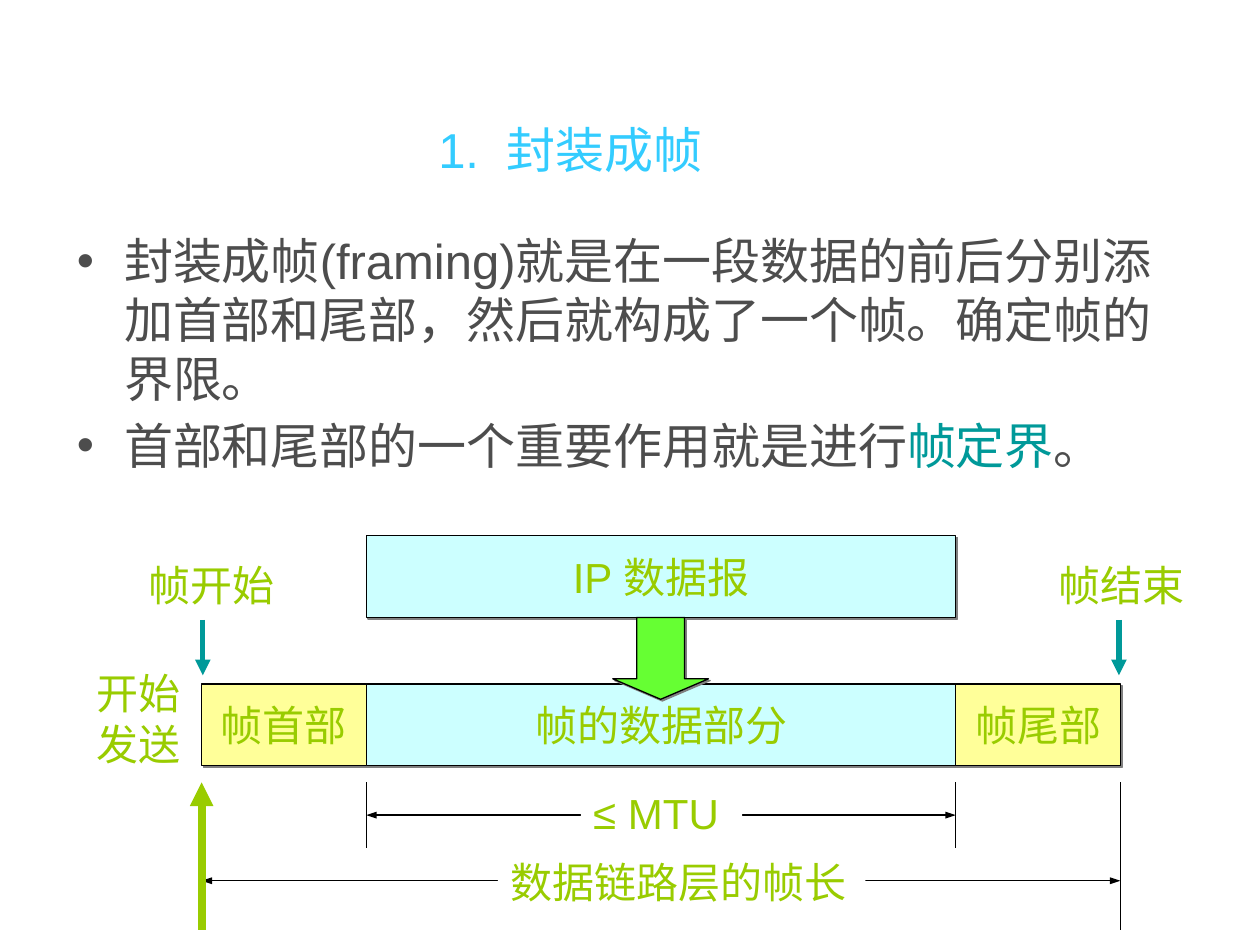
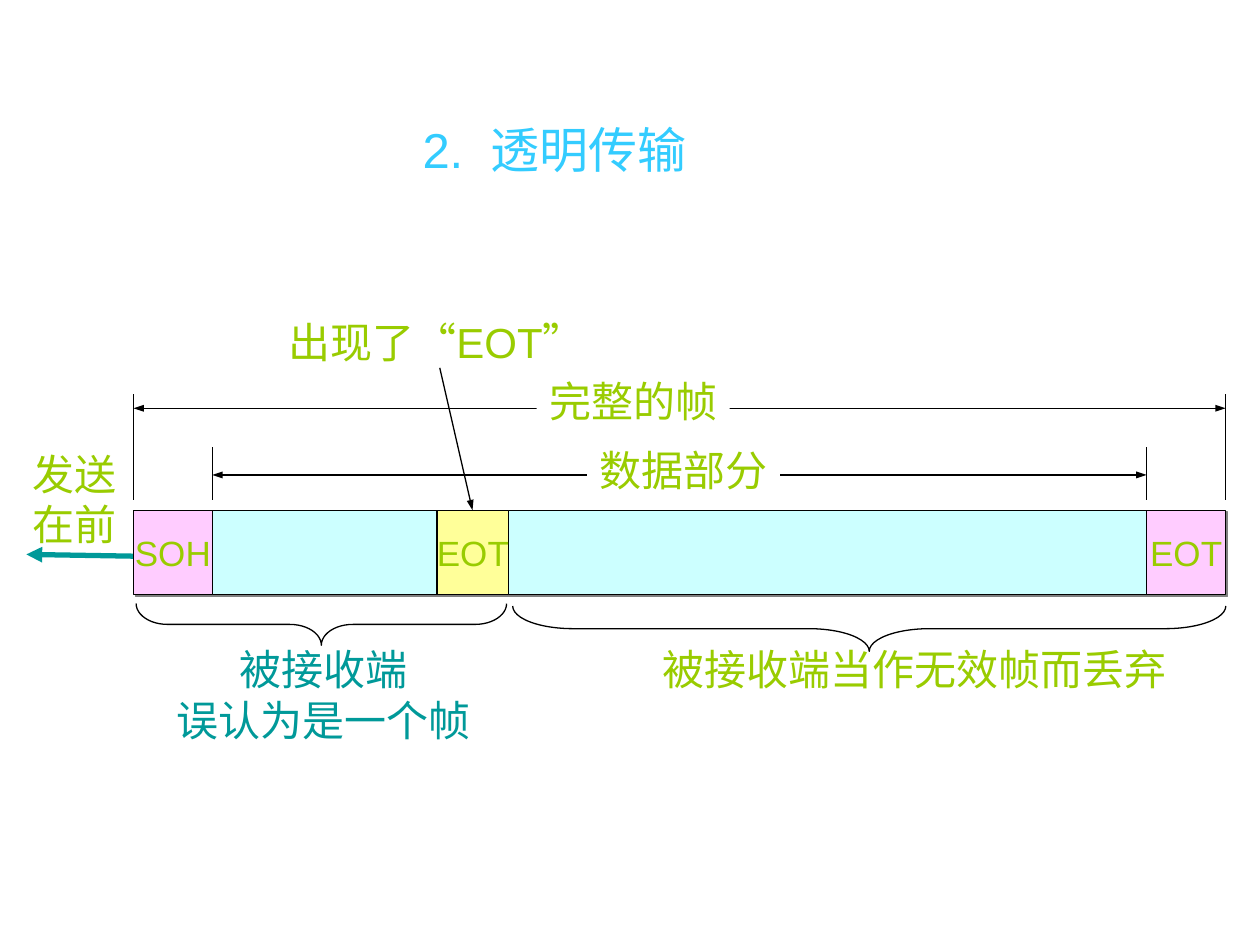
from lxml.etree import SubElement
from pptx import Presentation
from pptx.dml.color import RGBColor
from pptx.enum.shapes import MSO_CONNECTOR as Link, MSO_SHAPE as Kind
from pptx.enum.text import MSO_ANCHOR as Anchor, MSO_AUTO_SIZE as Fit, PP_ALIGN as Align
from pptx.oxml.ns import qn
from pptx.util import Pt

FONT = "Arial"
BLACK = RGBColor(0, 0, 0)
WHITE = RGBColor(0xFF, 0xFF, 0xFF)
SKY = RGBColor(0x33, 0xCC, 0xFF)
GREY = RGBColor(0x4D, 0x4D, 0x4D)
TEAL = RGBColor(0, 0x99, 0x99)
LIME = RGBColor(0x99, 0xCC, 0)
GREEN = RGBColor(0x66, 0xFF, 0x33)
CYAN = RGBColor(0xCC, 0xFF, 0xFF)
YELLOW = RGBColor(0xFF, 0xFF, 0x99)
PINK = RGBColor(0xFF, 0xCC, 0xFF)


def write(para, text, size=24, color=LIME, space=0):
    run = para.add_run()
    run.text = text
    run.font.name = FONT
    run.font.size = Pt(size)
    run.font.color.rgb = color
    if space:
        run._r.get_or_add_rPr().set("spc", str(space))


def place(shape, x, y, w, h):
    shape.left, shape.top, shape.width, shape.height = Pt(x), Pt(y), Pt(w), Pt(h)


def title(slide, number, text, width):
    shape = slide.shapes.title
    place(shape, 36.7, 60, width, 50.4)
    frame = shape.text_frame
    frame.vertical_anchor = Anchor.MIDDLE
    para = frame.paragraphs[0]
    para.alignment = Align.CENTER
    write(para, number, size=28, color=SKY)
    write(para, " ", size=28, color=SKY, space=780)
    write(para, text, size=28, color=SKY)


def bullets(slide, items):
    shape = slide.placeholders[1]
    place(shape, 36.7, 128.2, 648, 356.4)
    frame = shape.text_frame
    frame.auto_size = Fit.NONE
    for i, parts in enumerate(items):
        para = frame.add_paragraph() if i else frame.paragraphs[0]
        para.space_before = Pt(4.5 if i else 0)
        for text, color in parts:
            write(para, text, size=28, color=color)


def label(slide, text, x, y, w, color=LIME, align=Align.LEFT, fill=None):
    lines = text.split("\n")
    box = slide.shapes.add_textbox(Pt(x), Pt(y), Pt(w), Pt(7.2 + 28.8 * len(lines)))
    if fill is not None:
        box.fill.solid()
        box.fill.fore_color.rgb = fill
    frame = box.text_frame
    frame.word_wrap = False
    frame.auto_size = Fit.SHAPE_TO_FIT_TEXT
    for i, line in enumerate(lines):
        para = frame.add_paragraph() if i else frame.paragraphs[0]
        para.alignment = align
        write(para, line, color=color)


def block(slide, x, y, w, h, fill, text="", size=24, kind=Kind.RECTANGLE, shade=True):
    shape = slide.shapes.add_shape(kind, Pt(x), Pt(y), Pt(w), Pt(h))
    shape.fill.solid()
    shape.fill.fore_color.rgb = fill
    shape.line.color.rgb = BLACK
    shape.line.width = Pt(0.75)
    shape.shadow.inherit = False
    if shade:
        effect = shape._element.spPr.find(qn("a:effectLst"))
        cast = SubElement(effect, qn("a:outerShdw"), dist=str(Pt(1.4)), dir="2700000", algn="ctr", rotWithShape="0")
        SubElement(cast, qn("a:srgbClr"), val="808080")
    if text:
        frame = shape.text_frame
        frame.word_wrap = False
        frame.vertical_anchor = Anchor.MIDDLE
        para = frame.paragraphs[0]
        para.alignment = Align.CENTER
        write(para, text, size=size)
    return shape


def line(slide, x1, y1, x2, y2, color=BLACK, width=0.75, ends=()):
    link = slide.shapes.add_connector(Link.STRAIGHT, Pt(x1), Pt(y1), Pt(x2), Pt(y2))
    link.line.color.rgb = color
    link.line.width = Pt(width)
    outline = link.line._get_or_add_ln()
    for end in ends:
        SubElement(outline, qn(f"a:{end}End"), type="triangle", w="sm" if width < 1 else "med")
    SubElement(link._element.spPr, qn("a:effectLst"))


def span(slide, x1, x2, y):
    line(slide, x1, y, x2, y, ends=("head", "tail"))


def brace(slide, x, y, length, depth, curve):
    left = x + (length - depth) / 2
    top = y + (depth - length) / 2
    shape = slide.shapes.add_shape(Kind.LEFT_BRACE, Pt(left), Pt(top), Pt(depth), Pt(length))
    shape.rotation = 270
    shape.adjustments[0] = curve / depth
    shape.fill.background()
    shape.line.color.rgb = BLACK
    shape.line.width = Pt(0.75)
    shape.shadow.inherit = False


def framing(slide):
    title(slide, "1.", "封装成帧", 578.2)
    bullets(slide, [
        [("封装成帧(framing)就是在一段数据的前后分别添加首部和尾部，然后就构成了一个帧。确定帧的界限。", GREY)],
        [("首部和尾部的一个重要作用就是进行", GREY), ("帧定界", TEAL), ("。", GREY)],
    ])
    start, left, right, end = 115.2, 209.3, 546.2, 640.2
    high = 46.8
    block(slide, start, 390.8, left - start, high, YELLOW, "帧首部")
    block(slide, left, 306, right - left, high, CYAN, "IP 数据报")
    block(slide, left, 390.8, right - left, high, CYAN, "帧的数据部分")
    block(slide, right, 390.8, end - right, high, YELLOW, "帧尾部")
    span(slide, left, right, 465.8)
    span(slide, start, end, 503.3)
    line(slide, start, 531.4, start, 447.1, LIME, 4.5, ["tail"])
    for x, y in ((end, 531.4), (left, 484.6), (right, 484.6)):
        line(slide, x, 447.1, x, y)
    label(slide, "≤ MTU", 331.9, 446.4, 92.2, fill=WHITE)
    label(slide, "数据链路层的帧长", 284.5, 486, 210, fill=WHITE)
    arrow = block(slide, 350.2, 352.8, 54.7, high, GREEN, kind=Kind.DOWN_ARROW)
    arrow.adjustments[1] = 0.25
    label(slide, "开始\n发送", 48.2, 378, 66, fill=WHITE)
    for text, x, mark in (("帧开始", 77.8, 115.9), ("帧结束", 597.6, 639.4)):
        label(slide, text, x, 316.1, 88, fill=WHITE)
        line(slide, mark, 354.2, mark, 385.9, TEAL, 3, ["tail"])


def clear(slide):
    title(slide, "2.", "透明传输", 560.2)
    start, left, right, end = 76.3, 121.3, 655.2, 700.4
    top, high = 291.6, 48.2
    line(slide, 99.4, 318.2, 15.1, 316.8, TEAL, 3, ["tail"])
    block(slide, start, top, left - start, high, PINK, "SOH", 20)
    block(slide, left, top, right - left, high, CYAN)
    block(slide, 249.8, top, 41, high, YELLOW, "EOT", 20, shade=False)
    block(slide, right, top, end - right, high, PINK, "EOT", 20)
    line(slide, 251.3, 210.2, 270, top, ends=["tail"])
    label(slide, "出现了“EOT”", 151.9, 177.1, 195.1, align=Align.CENTER)
    brace(slide, start + 1.5, 344.9, 211.7, 23.8, 18)
    brace(slide, 293, 346.3, 407.5, 25.9, 34.5)
    label(slide, "被接收端\n误认为是一个帧", 92.6, 364.3, 184.2, TEAL, Align.CENTER)
    label(slide, "被接收端当作无效帧而丢弃", 371.5, 364.3, 306)
    for text, x, y, a, b, row, tick in (
        ("数据部分", 335.5, 250.6, left, right, 271.4, 255.6),
        ("完整的帧", 306.7, 211, start, end, 233.3, 225.4),
    ):
        span(slide, a, b, row)
        label(slide, text, x, y, 110.2, align=Align.CENTER, fill=WHITE)
        for edge in (a, b):
            line(slide, edge, tick, edge, 285.8)
    label(slide, "发送\n在前", 11.5, 252.7, 66)


def main():
    deck = Presentation()
    deck.slide_width, deck.slide_height = Pt(720), Pt(540)
    framing(deck.slides.add_slide(deck.slide_layouts[1]))
    clear(deck.slides.add_slide(deck.slide_layouts[5]))
    deck.save("out.pptx")


if __name__ == "__main__":
    main()
